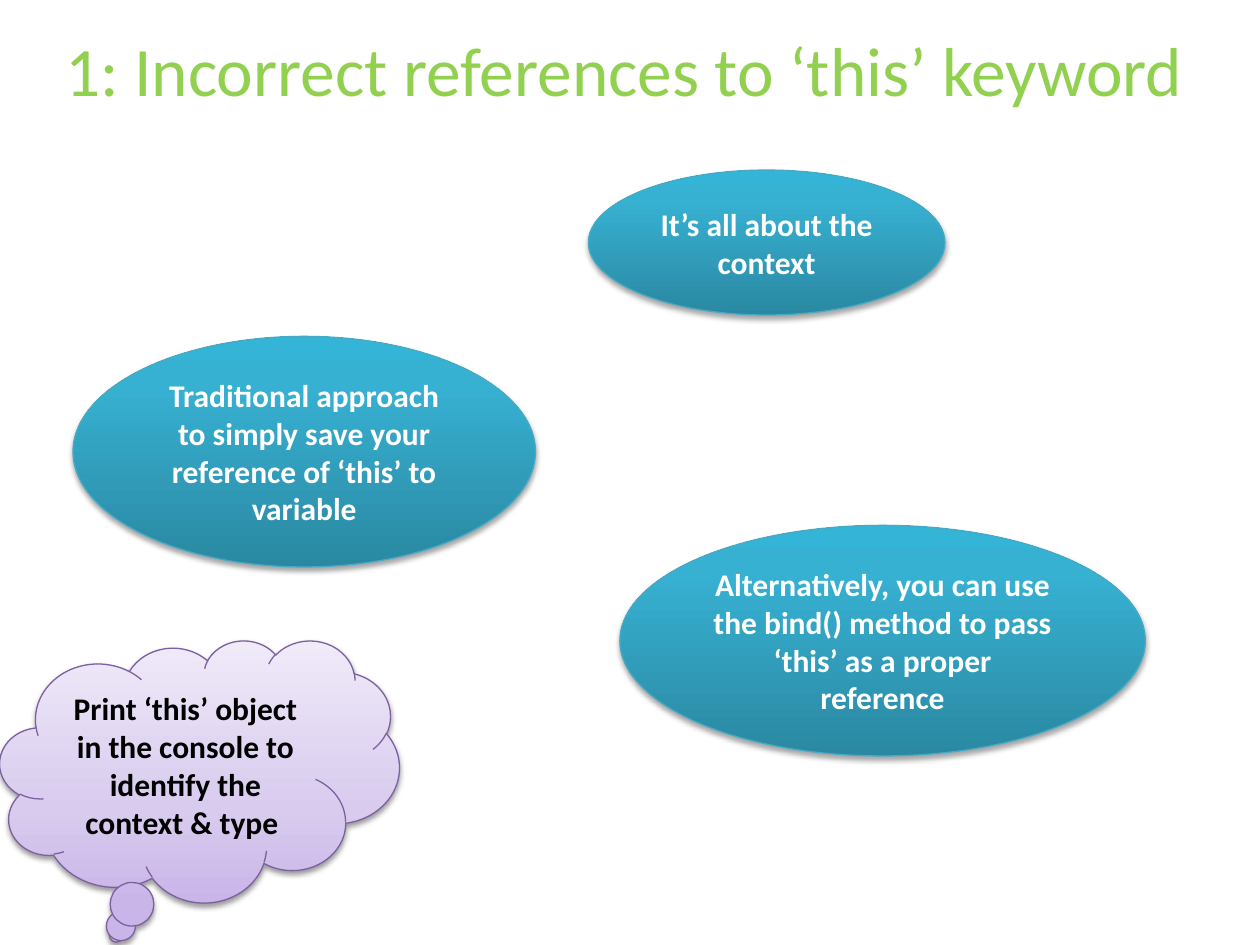
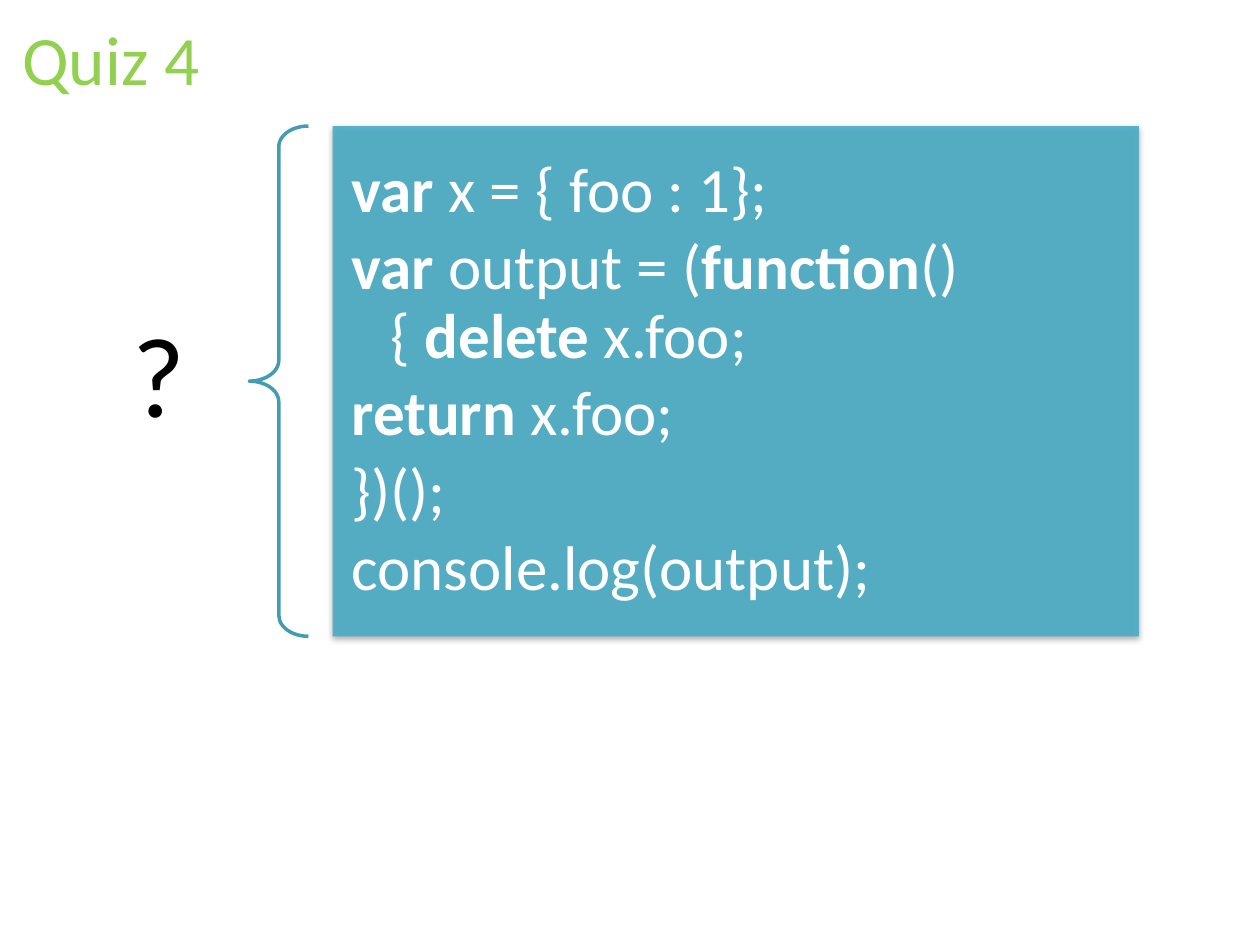
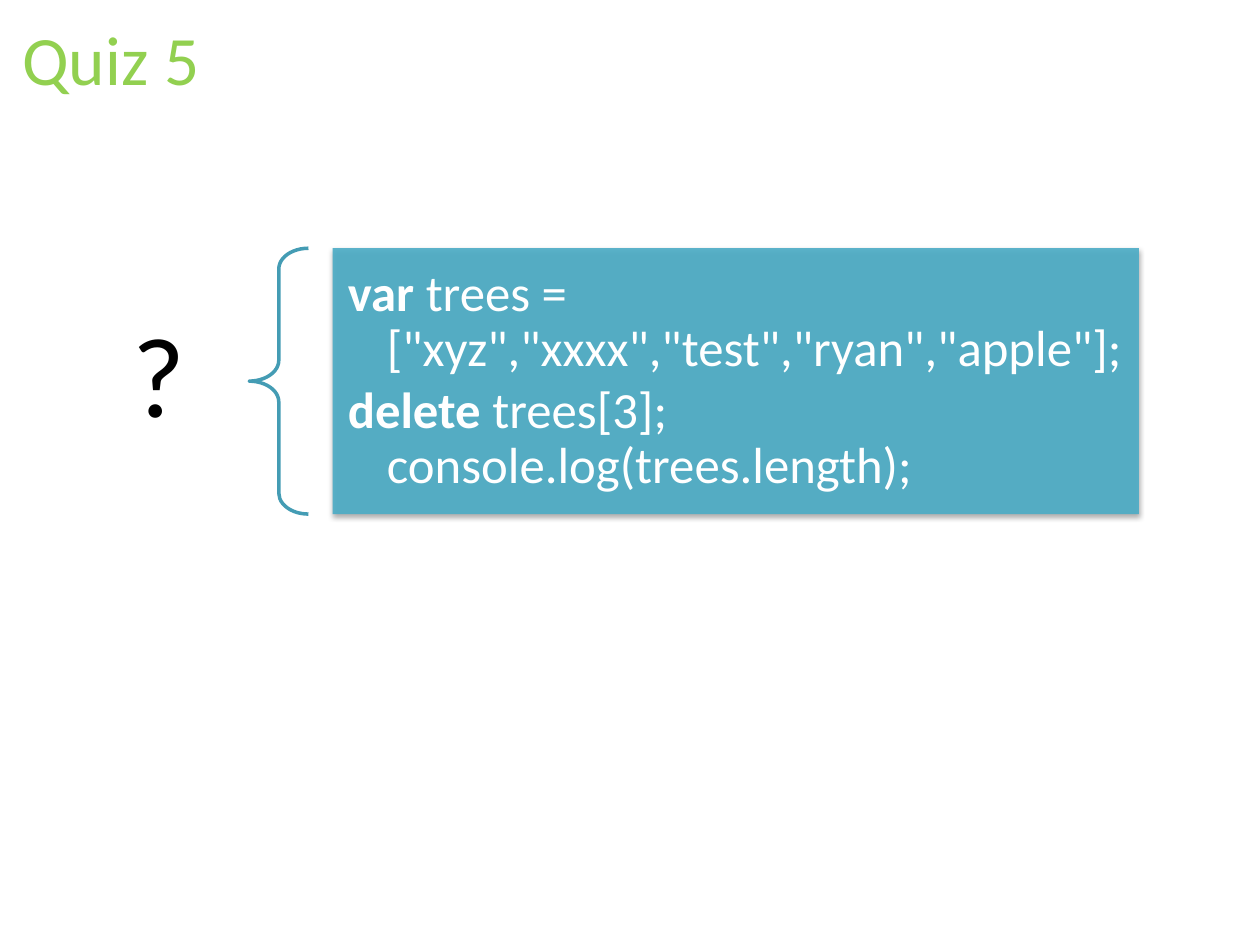
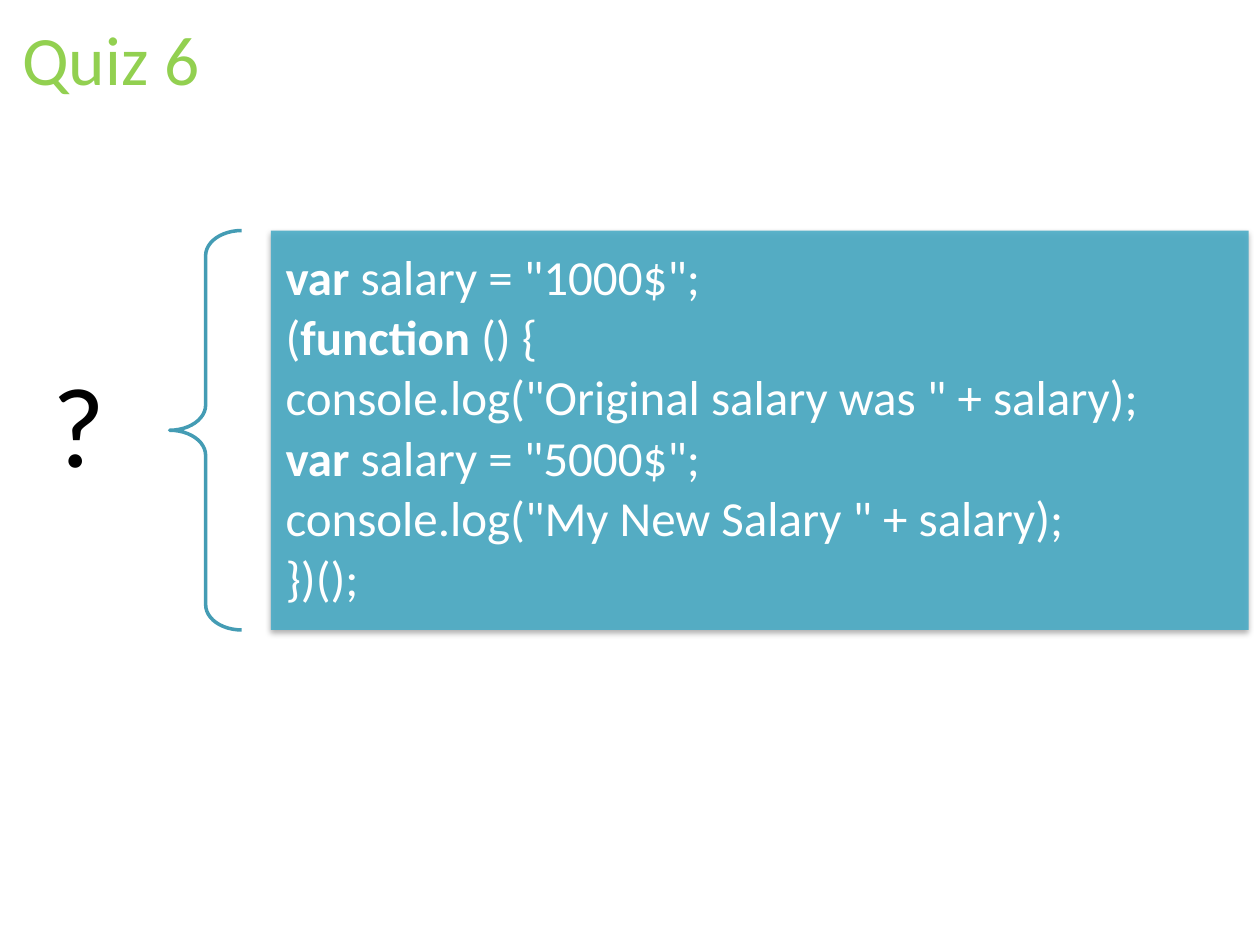
from dataclasses import dataclass, field
from typing import Any

from lxml.etree import SubElement
from pptx import Presentation
from pptx.dml.color import RGBColor
from pptx.enum.shapes import MSO_SHAPE as SHAPE
from pptx.enum.text import MSO_ANCHOR as ANCHOR, PP_ALIGN as ALIGN
from pptx.oxml.ns import qn
from pptx.util import Inches, Pt


@dataclass(frozen=True)
class Theme:
    font: str = "Calibri"
    title: str = "92D050"
    light: str = "FFFFFF"
    dark: str = "000000"
    panel: str = "4BACC6"
    brace: str = "449CB4"
    bubble: tuple = ((0, "2A88A2"), (80, "37B1D2"), (100, "34B4D6"))
    bubble_line: str = "46AAC5"
    cloud: tuple = ((0, "C9B5E8"), (35, "D8CBEE"), (100, "F0EAF9"))
    cloud_line: str = "7D60A0"
    title_size: float = 39.6
    note_size: float = 18
    question_size: float = 65


@dataclass
class Deck:
    prs: Any
    theme: Theme = field(default_factory=Theme)
    slide: Any = None

    def new_slide(self):
        self.slide = self.prs.slides.add_slide(self.prs.slide_layouts[6])

    def style(self, r, size, color, bold=False):
        r.font.name = self.theme.font
        r.font.size = Pt(size)
        r.font.bold = bold
        r.font.color.rgb = RGBColor.from_string(color)

    def shadow(self, sp, opacity):
        sp.shadow.inherit = False
        effects = sp._element.spPr.find(qn("a:effectLst"))
        outer = SubElement(effects, qn("a:outerShdw"), blurRad=str(Pt(3.1)),
                           dist=str(Pt(1.8)), dir="5400000", rotWithShape="0")
        color = SubElement(outer, qn("a:srgbClr"), val=self.theme.dark)
        SubElement(color, qn("a:alpha"), val=str(opacity * 1000))

    def gradient(self, sp, stops):
        sp.fill.gradient()
        sp.fill.gradient_angle = 90
        stop_list = sp._element.spPr.find(qn("a:gradFill")).find(qn("a:gsLst"))
        for stop in list(stop_list):
            stop_list.remove(stop)
        for position, color in stops:
            stop = SubElement(stop_list, qn("a:gs"), pos=str(position * 1000))
            SubElement(stop, qn("a:srgbClr"), val=color)

    def text_box(self, shapes, box, inset_x=0.1, inset_y=0.05):
        tf = shapes.add_textbox(*map(Inches, box)).text_frame
        tf.word_wrap = True
        tf.vertical_anchor = ANCHOR.MIDDLE
        tf.margin_left = tf.margin_right = Inches(inset_x)
        tf.margin_top = tf.margin_bottom = Inches(inset_y)
        return tf

    def title(self, text, box=(0.08, 0.08, 8.5, 0.75)):
        tf = self.text_box(self.slide.shapes, box)
        tf.text = text
        self.style(tf.paragraphs[0].runs[0], self.theme.title_size, self.theme.title)

    def note(self, shape, box, text, stops, line, color, opacity=35):
        sp = self.slide.shapes.add_shape(shape, *map(Inches, box))
        self.gradient(sp, stops)
        sp.line.color.rgb = RGBColor.from_string(line)
        sp.line.width = Pt(0.75)
        self.shadow(sp, opacity)
        tf = sp.text_frame
        tf.text = text
        tf.word_wrap = True
        tf.vertical_anchor = ANCHOR.MIDDLE
        p = tf.paragraphs[0]
        p.alignment = ALIGN.CENTER
        self.style(p.runs[0], self.theme.note_size, color, True)

    def bubble(self, box, text):
        t = self.theme
        self.note(SHAPE.OVAL, box, text, t.bubble, t.bubble_line, t.light)

    def cloud(self, box, text):
        t = self.theme
        self.note(SHAPE.CLOUD_CALLOUT, box, text, t.cloud, t.cloud_line, t.dark, 38)

    def question(self, shapes, box):
        size = self.theme.question_size
        tf = self.text_box(shapes, box, 0.51, 0.18)
        tf.text = "?"
        p = tf.paragraphs[0]
        p.alignment = ALIGN.RIGHT
        p.line_spacing = 0.9
        p.space_after = Pt(size * 0.35)
        self.style(p.runs[0], size, self.theme.dark)

    def brace(self, shapes, box):
        sp = shapes.add_shape(SHAPE.LEFT_BRACE, *map(Inches, box))
        sp.shadow.inherit = False
        sp.adjustments[0] = 0.35
        sp.adjustments[1] = 0.5
        sp.fill.background()
        sp.line.color.rgb = RGBColor.from_string(self.theme.brace)
        sp.line.width = Pt(2)

    def panel(self, shapes, box):
        sp = shapes.add_shape(SHAPE.RECTANGLE, *map(Inches, box))
        sp.fill.solid()
        sp.fill.fore_color.rgb = RGBColor.from_string(self.theme.panel)
        color = sp._element.spPr.find(qn("a:solidFill")).find(qn("a:srgbClr"))
        SubElement(color, qn("a:alpha"), val="90000")
        sp.line.fill.background()
        self.shadow(sp, 35)

    def code(self, shapes, box, lines, size):
        inset = size / 240
        tf = self.text_box(shapes, box, inset, inset)
        for i, line in enumerate(lines):
            p = tf.add_paragraph() if i else tf.paragraphs[0]
            p.level = 1
            p.line_spacing = 0.9
            p.space_after = Pt(size * 0.15)
            indent = Inches(0.31)
            pPr = p._p.get_or_add_pPr()
            pPr.set("marL", str(indent))
            pPr.set("indent", str(-indent))
            for j, part in enumerate(line.split("**")):
                if part:
                    r = p.add_run()
                    r.text = part
                    self.style(r, size, self.theme.light, j % 2 == 1)

    def quiz(self, title, panel, size, lines):
        self.new_slide()
        self.title(title)
        left, top, width, height = panel
        brace_width = width * 0.0735
        brace_left = left - brace_width - width * 0.03
        question_width = width * 0.367
        question_height = 1.41
        shapes = self.slide.shapes.add_group_shape().shapes
        self.question(shapes, (brace_left - question_width,
                               top + (height - question_height) / 2,
                               question_width, question_height))
        self.brace(shapes, (brace_left, top, brace_width, height))
        self.panel(shapes, panel)
        self.code(shapes, panel, lines, size)


QUIZZES = [
    ("Quiz 4", (2.64, 1, 6.4, 4.05), 36, [
        "**var** x = { foo : 1};",
        "**var** output = (**function**(){ **delete **x.foo;",
        "**return **x.foo;",
        "})();",
        "console.log(output);",
    ]),
    ("Quiz 5", (2.64, 1.97, 6.4, 2.11), 29, [
        '**var** trees = ["xyz","xxxx","test","ryan","apple"];',
        "**delete** trees[3]; console.log(trees.length);",
    ]),
    ("Quiz 6", (2.15, 1.83, 7.76, 3.17), 28, [
        '**var** salary = "1000$";',
        "(**function** () {",
        'console.log("Original salary was " + salary);',
        '**var** salary = "5000$";',
        'console.log("My New Salary " + salary);',
        "})();",
    ]),
]


def main():
    prs = Presentation()
    prs.slide_width, prs.slide_height = Inches(10), Inches(7.5)
    deck = Deck(prs)

    deck.new_slide()
    deck.title("1: Incorrect references to ‘this’ keyword", (0.42, 0.17, 9.33, 0.75))
    deck.bubble((4.67, 1.35, 2.83, 1.15), "It’s all about the context")
    deck.bubble((0.58, 2.67, 3.67, 1.83),
                "Traditional approach to simply save your reference of ‘this’ to variable")
    deck.bubble((4.92, 4.17, 4.17, 1.83),
                "Alternatively, you can use the bind() method to pass ‘this’ as a proper reference")
    deck.cloud((0, 5.08, 3.17, 2.08),
               "Print ‘this’ object in the console to identify the context & type ")

    for quiz in QUIZZES:
        deck.quiz(*quiz)

    prs.save("out.pptx")


if __name__ == "__main__":
    main()
